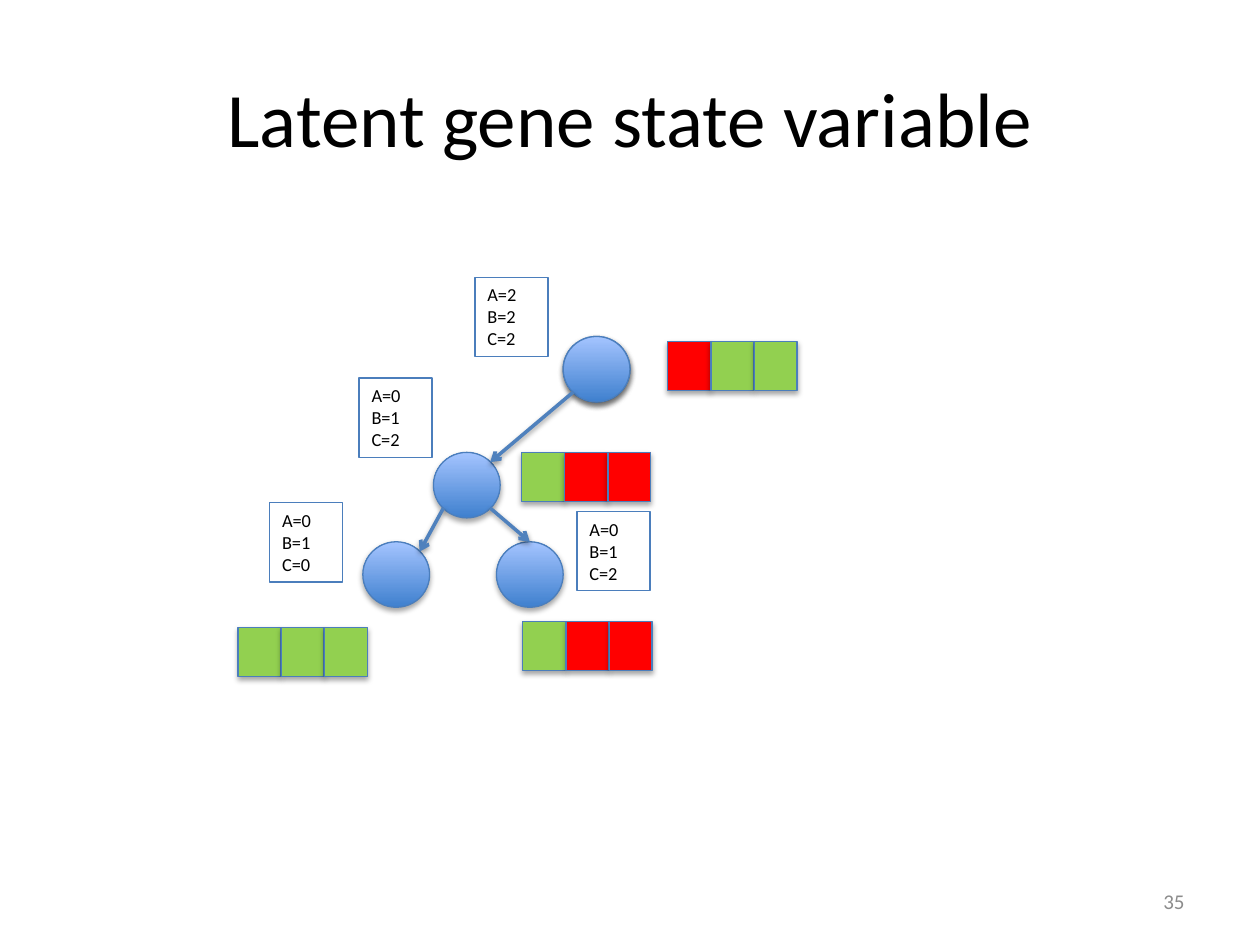
from lxml import etree
from pptx import Presentation, util as u
from pptx.dml.color import RGBColor
from pptx.enum import shapes, text
from pptx.oxml import ns

rgb = RGBColor.from_string
prs = Presentation()
prs.slide_width, prs.slide_height = u.Inches(10), u.Inches(7.5)
UNIT = prs.slide_width // 1000  # the grid has 1000 columns and 750 rows


def grid(*cells):
    return [int(c * UNIT) for c in cells]


def outline(sp, colour, width, alpha=0, dist=0):
    """Set the line and, when alpha is above 0, a soft shadow falling straight down."""
    sp.line.color.rgb, sp.line.width = rgb(colour), u.Pt(width)
    for old in sp._element.spPr.findall(ns.qn("a:effectLst")):
        sp._element.spPr.remove(old)
    effects = etree.SubElement(sp._element.spPr, ns.qn("a:effectLst"))
    if alpha:
        shadow = etree.SubElement(effects, ns.qn("a:outerShdw"), blurRad=str(u.Pt(3.1)),
                                  dist=str(u.Pt(dist)), dir="5400000", rotWithShape="0")
        black = etree.SubElement(shadow, ns.qn("a:srgbClr"), val="000000")
        etree.SubElement(black, ns.qn("a:alpha"), val=str(alpha * 1000))


s = prs.slides.add_slide(prs.slide_layouts[5])

# Title and slide number
title = s.shapes.title
title.left, title.top, title.width, title.height = grid(50, 30, 900, 125)
number = s.shapes.add_textbox(*grid(717, 695, 233, 40))
for sp, words, size, colour, align in [
        (title, "Latent gene state variable", 44, "000000", text.PP_ALIGN.CENTER),
        (number, "35", 12, "8C8C8C", text.PP_ALIGN.RIGHT)]:
    tf = sp.text_frame
    tf.word_wrap, tf.vertical_anchor = True, text.MSO_ANCHOR.MIDDLE
    p = tf.paragraphs[0]
    p.alignment = align
    r = p.add_run()
    r.text = words
    for name, value in {"size": u.Pt(size), "name": "Calibri"}.items():
        setattr(r.font, name, value)
    r.font.color.rgb = rgb(colour)

# Tree nodes; the root is two stacked circles, which deepens its shadow
NODE_W, NODE_H = 53, 52
root, middle, left_leaf, right_leaf = (447, 267), (344, 359), (288, 430), (394, 430)
for x, y in [root, root, middle, left_leaf, right_leaf]:
    sp = s.shapes.add_shape(shapes.MSO_SHAPE.OVAL, *grid(x, y, NODE_W, NODE_H))
    sp.fill.gradient()
    sp.fill.gradient_angle = 90
    for stop, colour in zip(sp.fill.gradient_stops, ["3F80CE", "A4C4FF"]):
        stop.color.rgb = rgb(colour)
    outline(sp, "4B7EBC", 0.75, alpha=35, dist=1.8)

# Branches join points on the circles, given as shares of a node's box
TOP, TOP_RIGHT = (0.5, 0), (0.85, 0.15)
BOTTOM_LEFT, BOTTOM_RIGHT = (0.15, 0.85), (0.85, 0.85)
for parent, start, child, end in [(middle, BOTTOM_LEFT, left_leaf, TOP_RIGHT),
                                  (middle, BOTTOM_RIGHT, right_leaf, TOP),
                                  (root, BOTTOM_LEFT, middle, TOP_RIGHT)]:
    ends = [(x + dx * NODE_W, y + dy * NODE_H)
            for (x, y), (dx, dy) in [(parent, start), (child, end)]]
    branch = s.shapes.add_connector(shapes.MSO_CONNECTOR.STRAIGHT, *grid(*ends[0], *ends[1]))
    outline(branch, "4F81BD", 2, alpha=38, dist=1.6)
    etree.SubElement(branch.line._get_or_add_ln(), ns.qn("a:tailEnd"), type="arrow")

# Gene states beside each node
for x, y, states in [(377, 220, "222"), (285, 300, "012"),
                     (214, 399, "010"), (458, 406, "012")]:
    sp = s.shapes.add_shape(shapes.MSO_SHAPE.RECTANGLE, *grid(x, y, 58, 63))
    sp.fill.background()
    outline(sp, "4B7EBC", 0.75)
    tf = sp.text_frame
    for name, value in {"word_wrap": True, "vertical_anchor": text.MSO_ANCHOR.TOP,
                        "auto_size": text.MSO_AUTO_SIZE.SHAPE_TO_FIT_TEXT}.items():
        setattr(tf, name, value)
    tf.text = "\n".join(f"{gene}={state}" for gene, state in zip("ABC", states))
    for p in tf.paragraphs:
        p.alignment = text.PP_ALIGN.LEFT
        for name, value in {"size": u.Pt(10.5), "name": "Calibri"}.items():
            setattr(p.font, name, value)
        p.font.color.rgb = rgb("000000")

# Strips of three cells, green (G) or red (R)
CELL_W, CELL_H, PITCH = 34, 39, 34.3
CELL_FILL = {"G": "92D050", "R": "FF0000"}
for x, y, cells in [(189, 498, "GGG"), (415, 493, "GRR"),
                    (414, 359, "GRR"), (530, 271, "RGG")]:
    for i, cell in enumerate(cells):
        sp = s.shapes.add_shape(shapes.MSO_SHAPE.RECTANGLE,
                                *grid(x + i * PITCH, y, CELL_W, CELL_H))
        sp.fill.solid()
        sp.fill.fore_color.rgb = rgb(CELL_FILL[cell])
        outline(sp, "4B7EBC", 0.75, alpha=35, dist=1.8)

prs.save("out.pptx")
